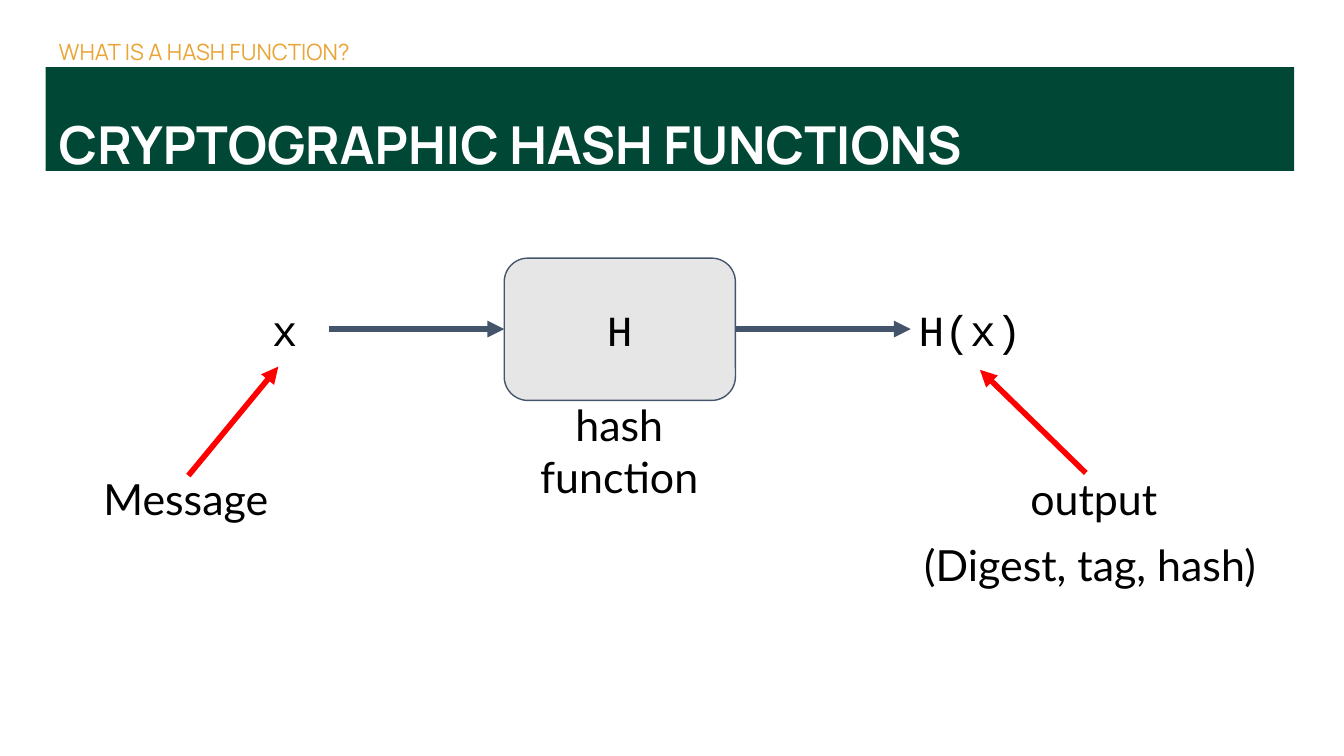
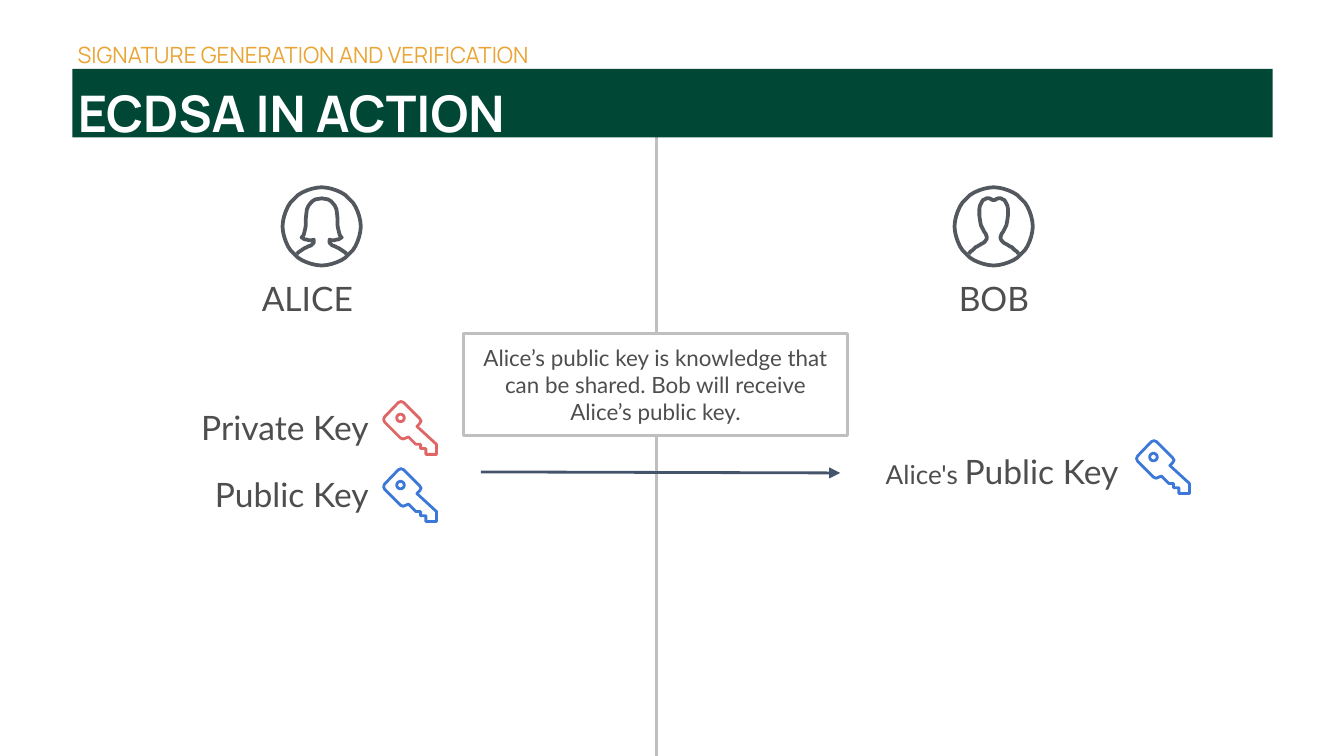
import math

from lxml import etree
from pptx import Presentation
from pptx.dml.color import RGBColor
from pptx.enum import shapes, text
from pptx.oxml.ns import qn
from pptx.util import Cm, Pt

GREEN = RGBColor(0x00, 0x47, 0x35)
GOLD = RGBColor(0xEA, 0xA5, 0x36)
SLATE = RGBColor(0x44, 0x54, 0x6A)
SILVER = RGBColor(0xBF, 0xBF, 0xBF)
PALE = RGBColor(0xE7, 0xE6, 0xE6)
DARK = RGBColor(0x4E, 0x4E, 0x4E)
ICON = RGBColor(0x53, 0x58, 0x5F)
CORAL = RGBColor(0xE0, 0x66, 0x66)
BLUE = RGBColor(0x3C, 0x78, 0xD8)
RED = RGBColor(0xFF, 0x00, 0x00)
BLACK = RGBColor(0, 0, 0)
WHITE = RGBColor(0xFF, 0xFF, 0xFF)

HEAD, BODY, CODE = "Manrope", "Lato", "Courier New"
LEFT, CENTER, RIGHT = text.PP_ALIGN.LEFT, text.PP_ALIGN.CENTER, text.PP_ALIGN.RIGHT
TOP, MIDDLE = text.MSO_ANCHOR.TOP, text.MSO_ANCHOR.MIDDLE

# Content: boxes are (left, top, width, height) in cm
HASH_HEAD = dict(
    kicker="WHAT IS A HASH FUNCTION?", kicker_box=(0.86, 0.53, 23.6, 1.09),
    title="CRYPTOGRAPHIC HASH FUNCTIONS", title_box=(0.86, 1.27, 23.6, 1.96),
    size=28, anchor=TOP, inset=(0.25, 0.25), spacing=(0.9, 1.5))
ECDSA_HEAD = dict(
    kicker="SIGNATURE GENERATION AND VERIFICATION", kicker_box=(1.37, 0.51, 12.45, 1.04),
    title="ECDSA IN ACTION", title_box=(1.37, 1.3, 22.68, 1.3),
    size=27, anchor=MIDDLE, inset=(0.1, 0.05), spacing=(1.0, 1.31))

HASH_BOX = (9.53, 4.88, 4.37, 2.69)
SYMBOLS = [("H", 9.53), ("x", 3.2), ("H(x)", 16.15)]
FLOW_Y, FLOW_LENGTH = 6.22, 3.31
FLOW_STARTS = [6.22, 13.9]
POINTERS = [((20.52, 8.94), (18.52, 6.99)), ((3.56, 8.99), (5.26, 6.93))]
HASH_LABELS = [
    (["Message"], (1.65, 8.84, 3.73, 1.04)),
    (["output"], (18.95, 8.84, 3.45, 1.04)),
    (["hash", "function"], (9.98, 7.44, 3.45, 1.04)),
    (["(Digest, tag, hash)"], (16.87, 10.08, 7.47, 1.04)),
]

# Icon outlines in 0.01 cm. Each half portrait is a start point and Bezier
# segments, from the left shoulder to the top of the head.
ALICE = [(-47, 52), [(-39, 44), (-31, 41), (-23, 37)], [(-14, 33), (-14, 29), (-15, 25)],
         [(-24, 27), (-32, 25), (-38, 21)], [(-32, 16), (-30, 4), (-30, -14)],
         [(-30, -42), (-17, -53), (0, -53)]]
BOB = [(-47, 52), [(-41, 45), (-36, 40), (-28, 36)], [(-12, 29), (-11, 22), (-15, 14)],
       [(-23, 4), (-27, -6), (-27, -27)], [(-27, -45), (-20, -53), (-10, -53)],
       [(-7, -53), (-4, -50), (0, -50)]]
KEY = [(104, 102), (84, 102), (84, 91), (74, 91), (74, 83), (65, 83), (51, 69), (46, 71),
       (41, 73), (36, 71), (6, 41), (4, 36), (6, 31), (32, 4), (37, 2), (42, 4), (72, 34),
       (75, 39), (72, 44), (67, 49), (104, 83)]
KEY_HOLE = (36, 33, 7)
PORTRAIT_RADIUS = 74

PEOPLE = [("ALICE", ALICE, (6.08, 4.28), (4.39, 5, 2.84, 1.3)),
          ("BOB", BOB, (18.78, 4.28), (17.63, 5, 2.31, 1.3))]
KEYS = [
    ([("Private Key", 18)], (2.9, 7.44, 4.32, 1.3), (7.21, 7.57), CORAL),
    ([("Public Key", 18)], (3.23, 8.71, 3.99, 1.3), (7.21, 8.84), BLUE),
    ([("Alice's ", 14), ("Public Key", 18)], (15.88, 8.28, 5.51, 1.3), (21.44, 8.31), BLUE),
]
NOTE = "Alice’s public key is knowledge that can be shared. Bob will receive Alice’s public key."
NOTE_BOX = (8.76, 6.3, 7.26, 1.93)
DIVIDER = ((12.4, 2.11), (12.4, 14.38))
SHARE_ARROW = ((9.09, 8.92), (15.88, 8.94))


def write(sp, paragraphs, size, color, font=BODY, align=CENTER, anchor=TOP,
          inset=(0.25, 0.25), spacing=None, bold=False):
    """Fill a shape with paragraphs; each is a string or a list of (text, size)."""
    tf = sp.text_frame
    tf.word_wrap = True
    tf.auto_size = text.MSO_AUTO_SIZE.NONE
    tf.vertical_anchor = anchor
    tf.margin_left = tf.margin_right = Cm(inset[0])
    tf.margin_top = tf.margin_bottom = Cm(inset[1])
    for i, content in enumerate(paragraphs):
        p = tf.add_paragraph() if i else tf.paragraphs[0]
        p.alignment = align
        if spacing:
            p.line_spacing = spacing
        f = p.font
        f.name, f.size, f.bold = font, Pt(size), bold
        f.color.rgb = color
        runs = [(content, size)] if isinstance(content, str) else content
        for words, run_size in runs:
            r = p.add_run()
            r.text = words
            if run_size != size:
                r.font.size = Pt(run_size)


def label(s, box, paragraphs, size, color, **style):
    write(s.shapes.add_textbox(*map(Cm, box)), paragraphs, size, color, **style)


def panel(s, kind, box, fill, line, width):
    sp = s.shapes.add_shape(kind, *map(Cm, box))
    sp.shadow.inherit = False
    sp.fill.solid()
    sp.fill.fore_color.rgb = fill
    sp.line.color.rgb = line
    sp.line.width = Pt(width)
    return sp


def line(s, start, end, color, width, arrow=True):
    c = s.shapes.add_connector(shapes.MSO_CONNECTOR.STRAIGHT, *map(Cm, start + end))
    c.line.color.rgb = color
    c.line.width = Pt(width)
    sp_pr = c.element.spPr
    if arrow:
        etree.SubElement(sp_pr.find(qn("a:ln")), qn("a:tailEnd"), type="triangle")
    etree.SubElement(sp_pr, qn("a:effectLst"))


def circle(cx, cy, radius, steps=48):
    angles = [2 * math.pi * i / steps for i in range(steps)]
    return [(cx + radius * math.cos(a), cy + radius * math.sin(a)) for a in angles]


def portrait(half, steps=8):
    """Sample the Bezier segments and mirror them to the right."""
    points = [half[0]]
    for b, c, d in half[1:]:
        a = points[-1]
        for i in range(1, steps + 1):
            t = i / steps
            weights = ((1 - t) ** 3, 3 * t * (1 - t) ** 2, 3 * t * t * (1 - t), t ** 3)
            points.append(tuple(sum(w * q[k] for w, q in zip(weights, (a, b, c, d)))
                                for k in (0, 1)))
    return points + [(-x, y) for x, y in reversed(points[:-1])]


def icon(s, contours, origin, color, width):
    """Draw (points, closed) contours as one outlined freeform."""
    builder = s.shapes.build_freeform(*contours[0][0][0], scale=Cm(0.01))
    for i, (points, closed) in enumerate(contours):
        if i:
            builder.move_to(*points[0])
        builder.add_line_segments(points[1:], close=closed)
    sp = builder.convert_to_shape(*map(Cm, origin))
    sp.shadow.inherit = False
    sp.fill.background()
    sp.line.color.rgb = color
    sp.line.width = Pt(width)
    etree.SubElement(sp.element.spPr.find(qn("a:ln")), qn("a:round"))


def add_header(s, head):
    """Green title band with a gold line of text above it, in front of the rest."""
    title = s.shapes.title
    title.left, title.top, title.width, title.height = map(Cm, head["title_box"])
    title.fill.solid()
    title.fill.fore_color.rgb = GREEN
    style = dict(font=HEAD, align=LEFT, anchor=head["anchor"], inset=head["inset"])
    kicker_spacing, title_spacing = head["spacing"]
    write(title, [head["title"]], head["size"], WHITE, bold=True,
          spacing=title_spacing, **style)
    s.shapes.element.append(title.element)
    label(s, head["kicker_box"], [head["kicker"]], 12, GOLD,
          spacing=kicker_spacing, **style)


def hash_slide(s):
    add_header(s, HASH_HEAD)
    tight = dict(inset=(0.1, 0.1))

    # Flow from message to digest
    panel(s, shapes.MSO_SHAPE.ROUNDED_RECTANGLE, HASH_BOX, PALE, SLATE, 0.75)
    for x in FLOW_STARTS:
        line(s, (x, FLOW_Y), (x + FLOW_LENGTH, FLOW_Y), SLATE, 3)
    for symbol, x in SYMBOLS:
        label(s, (x,) + HASH_BOX[1:], [symbol], 23, BLACK, font=CODE, anchor=MIDDLE, **tight)

    # Explanations
    for start, end in POINTERS:
        line(s, start, end, RED, 3)
    for words, box in HASH_LABELS:
        label(s, box, words, 23, BLACK, **tight)


def ecdsa_slide(s):
    # People
    for name, half, center, box in PEOPLE:
        icon(s, [(circle(0, 0, PORTRAIT_RADIUS), True), (portrait(half), False)],
             center, ICON, 2)
        label(s, box, [name], 18, DARK)
    line(s, *DIVIDER, SILVER, 1.5, arrow=False)

    # Keys
    for runs, box, origin, color in KEYS:
        icon(s, [(KEY, True), (circle(*KEY_HOLE), True)], origin, color, 1.5)
        label(s, box, [runs], 18, DARK, align=RIGHT)

    # Sharing the public key
    line(s, *SHARE_ARROW, SLATE, 1.5)
    note = panel(s, shapes.MSO_SHAPE.RECTANGLE, NOTE_BOX, WHITE, SILVER, 1.5)
    write(note, [NOTE], 12, DARK, anchor=MIDDLE)
    add_header(s, ECDSA_HEAD)


def main():
    prs = Presentation()
    prs.slide_width, prs.slide_height = Cm(25.4), Cm(14.29)
    for build in (hash_slide, ecdsa_slide):
        build(prs.slides.add_slide(prs.slide_layouts[5]))
    prs.save("out.pptx")


if __name__ == "__main__":
    main()
